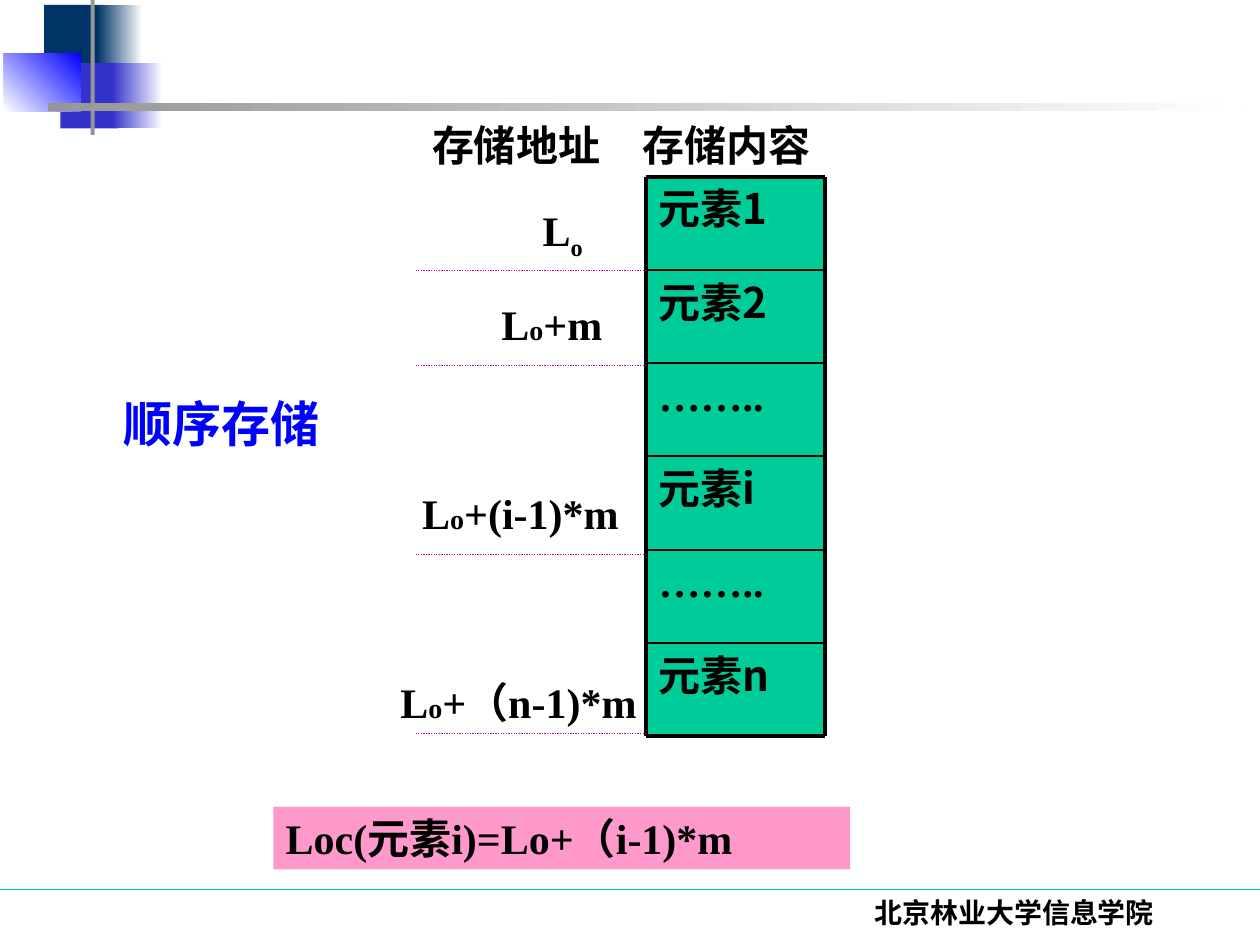
from lxml.etree import SubElement
from pptx import Presentation
from pptx.dml.color import RGBColor
from pptx.enum.dml import MSO_LINE
from pptx.enum.shapes import MSO_CONNECTOR, MSO_SHAPE
from pptx.enum.text import MSO_ANCHOR, PP_ALIGN
from pptx.oxml.ns import qn
from pptx.util import Cm, Pt

COLORS = {
    "paper": "FEFFFF", "ink": "000000", "navy": "003366", "indigo": "3333CC",
    "blue": "0000FF", "gray": "969696", "green": "00CC99", "pink": "FF99CC",
    "magenta": "D60093",
}
SERIF, SANS = "Times New Roman", "Noto Sans CJK SC"

# Content; lengths in cm
# Corner ornament: left, top, width, height, colours, gradient angle
ORNAMENT = [
    (0.89, 0.1, 1.22, 1.32, ["navy"], 0),
    (1.96, 0.1, 0.91, 1.32, ["navy", "paper"], 0),
    (1.22, 1.27, 1.17, 1.32, ["indigo"], 0),
    (2.26, 1.27, 1.02, 1.32, ["indigo", "paper"], 0),
    (0.08, 1.07, 1.55, 1.17, ["paper", "blue"], 45),
    (1.83, -0.2, 0.08, 2.92, ["gray"], 0),
    (0.97, 2.08, 24.16, 0.15, ["gray", "paper"], 0),
]
CELLS = [("元素1", SANS), ("元素2", SANS), ("……..", SERIF),
         ("元素i", SANS), ("……..", SERIF), ("元素n", SERIF and SANS)]
# Addresses: left, top, width, height, text after "Lo", y of dotted line
ADDRESSES = [
    (10.69, 3.99, 2.11, 1.42, "", 5.46),
    (9.86, 5.89, 2.97, 1.27, "+m", 7.37),
    (8.26, 9.7, 5.41, 1.27, "+(i-1)*m", 11.18),
    (7.82, 13.51, 5.28, 2.29, "+（n-1)*m", 14.78),
]
HEADINGS = [(8.46, 2.29, 4.34, 1.27, "存储地址"), (12.7, 2.29, 4.01, 1.27, "存储内容")]
TITLE = (2.24, 7.8, 4.45, 1.45, "顺序存储")
FORMULA = (5.51, 16.26, 11.63, 1.27, "Loc(元素i)=Lo+（i-1)*m")
FOOTER = (15.19, 17.93, 10.52, 1.27, "北京林业大学信息学院")
STACK_X, STACK_Y, STACK_W, ROW_H = 13.03, 3.56, 3.6, 1.88
DOTS_X = 8.36

prs = Presentation()
prs.slide_width, prs.slide_height = Cm(25.4), Cm(19.05)
s = prs.slides.add_slide(prs.slide_layouts[6])


def rgb(name):
    return RGBColor.from_string(COLORS[name])


s.background.fill.solid()
s.background.fill.fore_color.rgb = rgb("paper")


def add_rect(x, y, w, h, colors, angle=0):
    sp = s.shapes.add_shape(MSO_SHAPE.RECTANGLE, Cm(x), Cm(y), Cm(w), Cm(h))
    sp.shadow.inherit = False
    sp.line.fill.background()
    if len(colors) == 1:
        sp.fill.solid()
        sp.fill.fore_color.rgb = rgb(colors[0])
    else:
        sp.fill.gradient()
        sp.fill.gradient_angle = angle
        for stop, color in zip(sp.fill.gradient_stops, colors):
            stop.color.rgb = rgb(color)
    return sp


def add_line(x1, y1, x2, y2, color, width, dash=None):
    line = s.shapes.add_connector(MSO_CONNECTOR.STRAIGHT, Cm(x1), Cm(y1), Cm(x2), Cm(y2))
    line.line.color.rgb = rgb(color)
    line.line.width = Pt(width)
    if dash:
        line.line.dash_style = dash
    SubElement(line._element.spPr, qn("a:effectLst"))


def add_box(x, y, w, h):
    return s.shapes.add_textbox(Cm(x), Cm(y), Cm(w), Cm(h))


def write(sp, text, size=24, font=SERIF, color="ink", align=PP_ALIGN.LEFT, wrap=True):
    tf = sp.text_frame
    tf.word_wrap = wrap
    tf.vertical_anchor = MSO_ANCHOR.TOP
    p = tf.paragraphs[0]
    p.alignment = align
    f = p.font
    f.size, f.bold, f.name = Pt(size), True, font
    f.color.rgb = rgb(color)
    SubElement(f._rPr, qn("a:ea"), typeface=SANS)
    r = p.add_run()
    r.text = text
    r.font.color.rgb = rgb(color)
    return p


# Corner ornament and footer
add_line(0, 17.93, 25.4, 17.93, "green", 0.75)
for part in ORNAMENT:
    add_rect(*part)
write(add_box(*FOOTER[:4]), FOOTER[4], 16, align=PP_ALIGN.CENTER)

# Memory stack
for i, (text, font) in enumerate(CELLS):
    write(add_rect(STACK_X, STACK_Y + i * ROW_H, STACK_W, ROW_H, ["green"]), text, font=font)
right, bottom = STACK_X + STACK_W, STACK_Y + len(CELLS) * ROW_H
for i in range(len(CELLS) + 1):
    y = STACK_Y + i * ROW_H
    add_line(STACK_X, y, right, y, "ink", 2.25 if i in (0, len(CELLS)) else 1)
for x in (STACK_X, right):
    add_line(x, STACK_Y, x, bottom, "ink", 2.25)

# Addresses with dotted guides
for x, y, w, h, offset, guide_y in ADDRESSES:
    p = write(add_box(x, y, w, h), "L")
    r = p.add_run()
    r.text = "o"
    if offset:
        r.font.size = Pt(16)
        p.add_run().text = offset
    else:
        r.font._rPr.set("baseline", "-25000")
    add_line(STACK_X, guide_y, DOTS_X, guide_y, "magenta", 0.75, MSO_LINE.ROUND_DOT)

# Headings, formula and title
for *box, text in HEADINGS:
    write(add_box(*box), text)
write(add_rect(*FORMULA[:4], ["pink"]), FORMULA[4])
write(add_box(*TITLE[:4]), TITLE[4], 28, color="blue", wrap=False)

prs.save("out.pptx")
